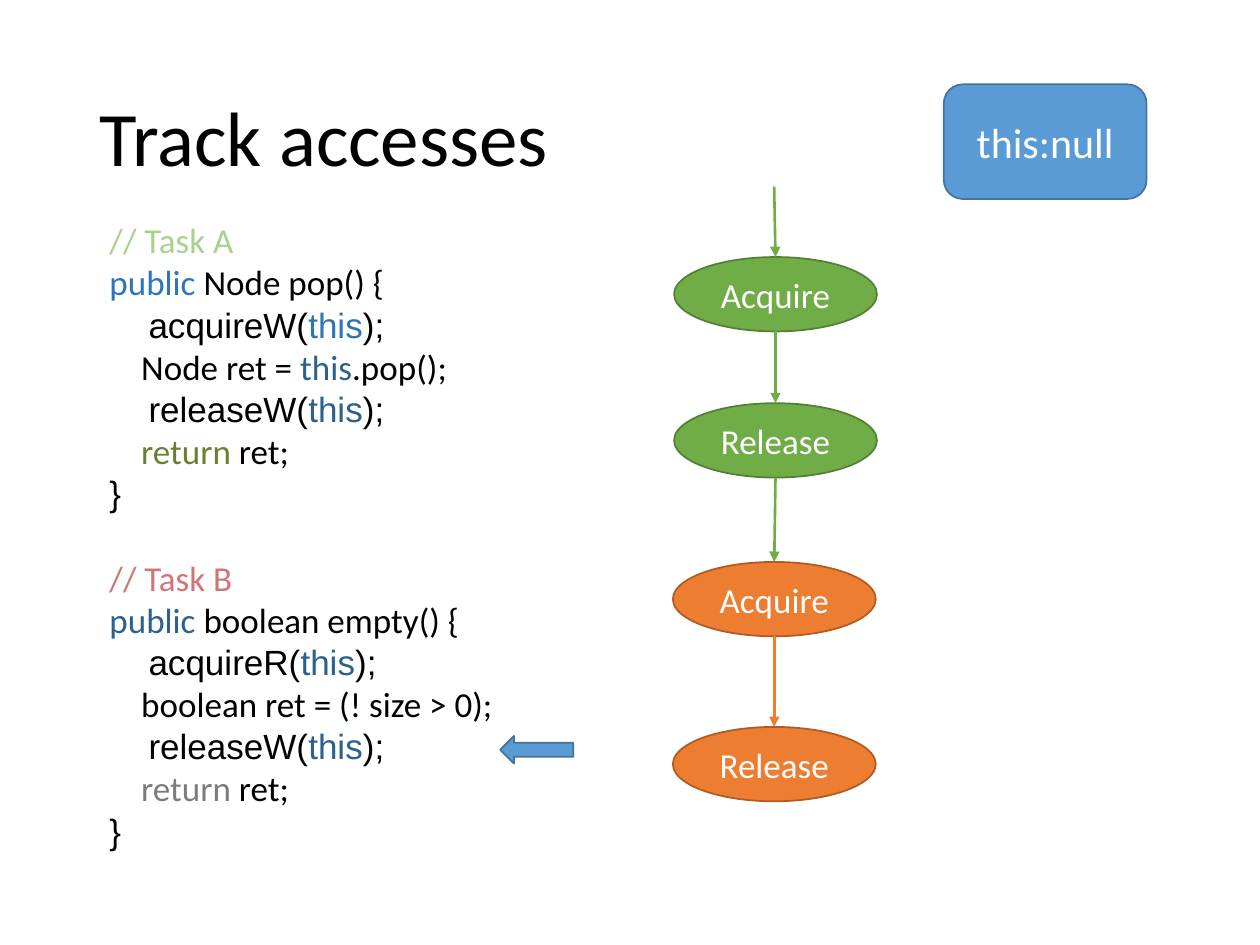
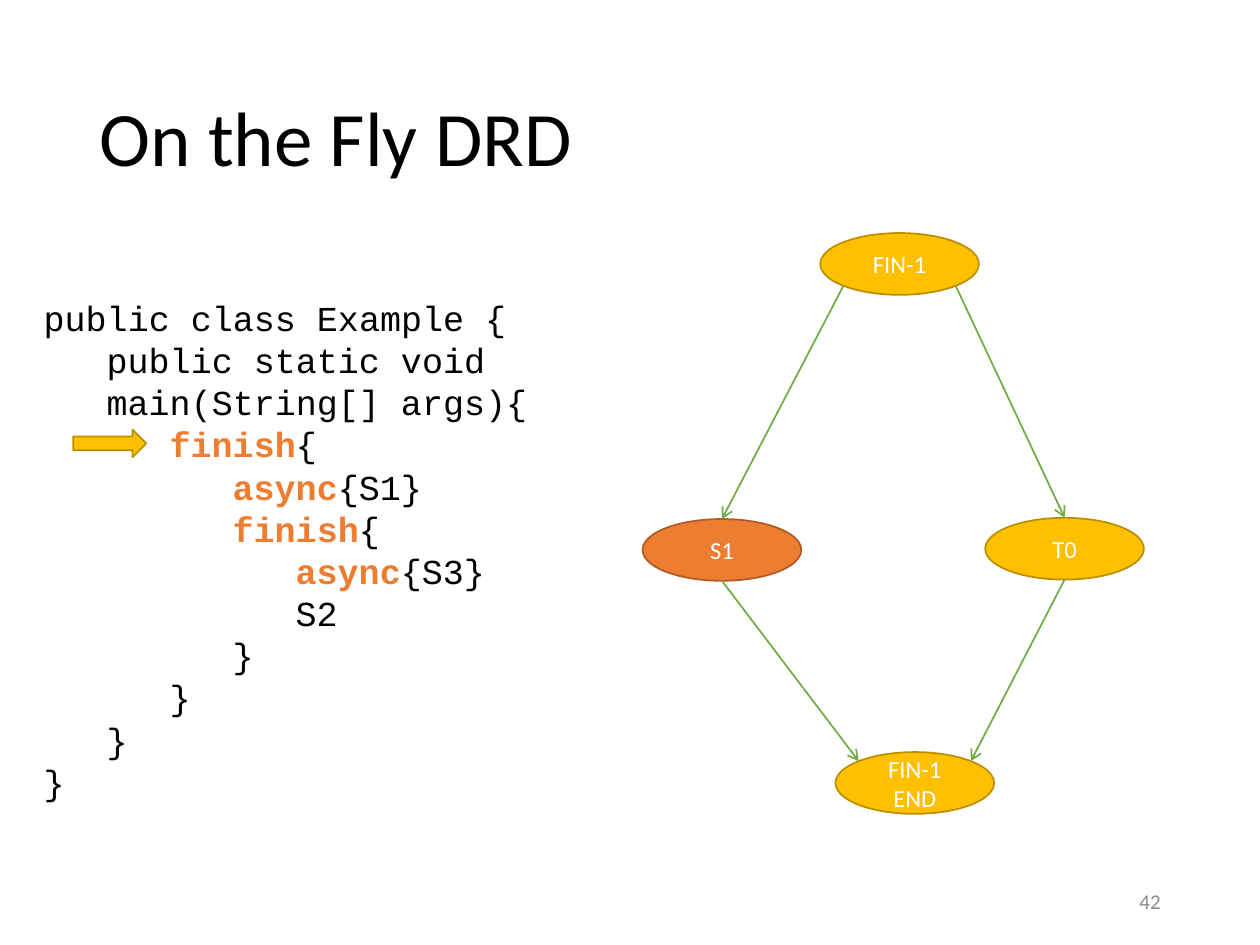
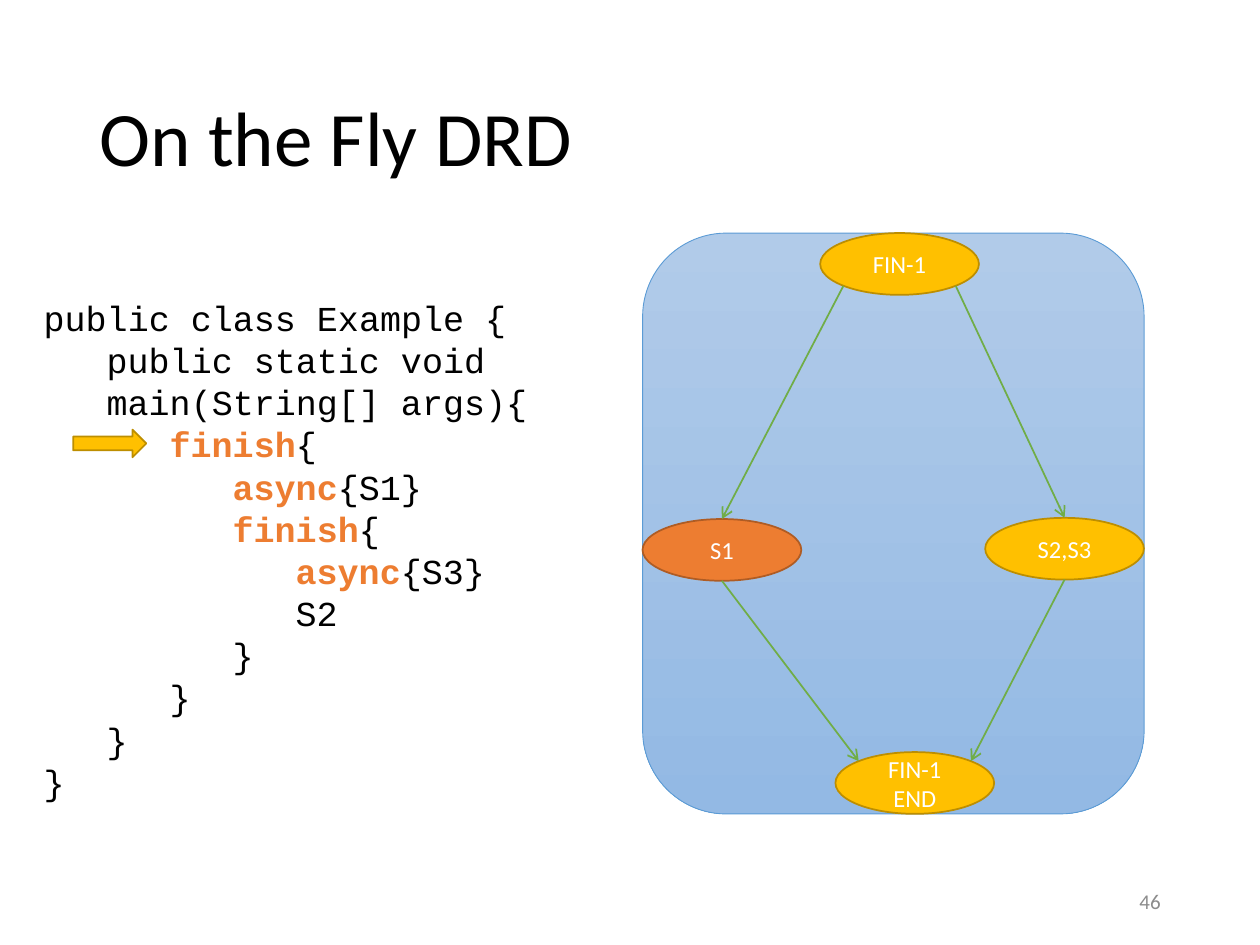
from math import cos, sin, radians
from pptx import Presentation
from pptx.util import Pt
from pptx.dml.color import RGBColor
from pptx.enum.shapes import MSO_SHAPE as Kind, MSO_CONNECTOR as Link
from pptx.enum.text import PP_ALIGN as Align, MSO_ANCHOR as Anchor
from pptx.oxml.ns import qn
from lxml.etree import SubElement as Sub

BLACK, WHITE, GRAY = "000000", "FFFFFF", "8C8C8C"
BLUE, GREEN, ORANGE, GOLD = "5B9BD5", "70AD47", "ED7D31", "FFC000"
EDGE = {BLUE: "43739E", GREEN: "538035", ORANGE: "AF5C24", GOLD: "BD8E00"}
SKY, NAVY, OLIVE, ASH = "2E75B6", "2C618B", "688031", "7C7C7C"
SANS, PLAIN, MONO = "Calibri", "Arial", "Courier New"
PITCH = 24.1


def hue(code):
    return RGBColor.from_string(code)


def put(item, values):
    for name, value in values.items():
        setattr(item, name, value)


def port(node, angle):
    x = node.left.pt + node.width.pt / 2 * (1 + cos(radians(angle)))
    y = node.top.pt + node.height.pt / 2 * (1 + sin(radians(angle)))
    return x, y


class Deck:
    def __init__(self):
        self.file = Presentation()
        put(self.file, {"slide_width": Pt(720), "slide_height": Pt(540)})
        self.slide = None

    def page(self, title, number=None):
        self.slide = self.file.slides.add_slide(self.file.slide_layouts[6])
        self.text((49.7, 28.8, 620.6, 104.4), title, 44, Align.LEFT, BLACK, 0.9)
        if number:
            self.text((508.3, 500.4, 162, 28.8), number, 12, Align.RIGHT, GRAY)

    def fill(self, frame, lines, align, space=None):
        put(frame, {"word_wrap": True, "vertical_anchor": Anchor.MIDDLE})
        for spot, (dent, gap, font, runs) in enumerate(lines):
            para = frame.add_paragraph() if spot else frame.paragraphs[0]
            put(para, {"alignment": align, "space_before": Pt(gap), "line_spacing": space})
            if dent:
                para._p.get_or_add_pPr().set("marL", str(Pt(dent)))
            for words, color, bold, size in runs:
                run = para.add_run()
                run.text = words
                put(run.font, {"name": font, "size": Pt(size), "bold": bold})
                run.font.color.rgb = hue(color)

    def text(self, box, words, size, align, color, space=None):
        area = self.slide.shapes.add_textbox(*map(Pt, box))
        self.fill(area.text_frame, [(0, 0, SANS, [(words, color, False, size)])], align, space)

    def code(self, area, lines):
        rows = []
        for dent, gap, font, *runs in lines:
            rows.append((dent, gap, font, [(w, c, c == ORANGE, 20) for w, c in runs]))
        self.fill(area.text_frame, rows, Align.LEFT, Pt(PITCH))

    def shape(self, kind, box, color=None, label="", size=14, turn=0):
        item = self.slide.shapes.add_shape(kind, *map(Pt, box))
        put(item, {"rotation": turn})
        item.shadow.inherit = False
        if color:
            item.fill.solid()
            item.fill.fore_color.rgb = hue(color)
            item.line.color.rgb = hue(EDGE[color])
            item.line.width = Pt(1)
        else:
            item.fill.background()
            item.line.fill.background()
        if label:
            rows = [(0, 0, SANS, [(w, WHITE, False, size)]) for w in label.split("\n")]
            self.fill(item.text_frame, rows, Align.CENTER)
        return item

    def panel(self, box):
        item = self.shape(Kind.ROUNDED_RECTANGLE, box, BLUE)
        item.fill.gradient()
        item.fill.gradient_angle = 270
        for stop, code in zip(item.fill.gradient_stops, ("B1CBE9", "93B9E4")):
            stop.color.rgb = hue(code)
        item.line.color.rgb = hue(BLUE)
        item.line.width = Pt(0.5)

    def arrow(self, start, end, color=GREEN, width=1, head="arrow"):
        ends = map(Pt, start + end)
        item = self.slide.shapes.add_connector(Link.STRAIGHT, *ends)
        item.line.color.rgb = hue(color)
        item.line.width = Pt(width)
        Sub(item.line._get_or_add_ln(), qn("a:tailEnd"), type=head)
        Sub(item._element.spPr, qn("a:effectLst"))


def task(name, tint, key, head, lock, body, last, gap=0):
    def call(verb, blue):
        return 22.3, 0, PLAIN, (verb + "(", BLACK), ("this", blue), (");", BLACK)
    return [
        (0, gap, SANS, ("// Task " + name, tint)),
        (0, 0, SANS, ("public", key), (head, BLACK)),
        call(lock, key),
        (18.1, 0, SANS, *body),
        call("releaseW", NAVY),
        (18.1, 0, SANS, ("return", last), (" ret;", BLACK)),
        (0, 0, PLAIN, ("}", BLACK)),
    ]


def track(deck):
    deck.page("Track accesses")
    area = deck.slide.shapes.add_textbox(*map(Pt, (59, 120.2, 259.2, 370.8)))
    sides = ("left", "right", "top", "bottom")
    put(area.text_frame, {"margin_" + side: Pt(3.6) for side in sides})
    pop = [("Node ret = ", BLACK), ("this", NAVY), (".pop();", BLACK)]
    size = [("boolean ret = (! size > 0);", BLACK)]
    deck.code(area, task("A", "A9D18E", SKY, " Node pop() {", "acquireW", pop, OLIVE)
              + task("B", "D07576", NAVY, " boolean empty() {", "acquireR", size, ASH, PITCH))
    deck.shape(Kind.ROUNDED_RECTANGLE, (539.3, 48.2, 115.9, 65.5), BLUE, "this:null", 24)
    deck.shape(Kind.RIGHT_ARROW, (285.8, 420.5, 41.8, 15.8), BLUE, turn=180)
    steps = [(385.2, 146.9, GREEN, "Acquire"), (385.2, 230.4, GREEN, "Release"),
             (384.5, 321.1, ORANGE, "Acquire"), (384.5, 415.4, ORANGE, "Release")]
    start, tint = (442.4, 106.6), GREEN
    for x, y, color, label in steps:
        node = deck.shape(Kind.OVAL, (x, y, 115.9, 42.5), color, label, 20)
        deck.arrow(start, port(node, 270), tint, 1.5, "triangle")
        start, tint = port(node, 90), color


def race(deck, number, label, boxed=False):
    deck.page("On the Fly DRD", number)
    if boxed:
        deck.panel((367.2, 133.2, 286.6, 331.9))
    spots = [(468.7, 133.2, GOLD, "FIN-1"), (367.2, 296.6, ORANGE, "S1"),
             (563, 295.9, GOLD, label), (477.4, 429.8, GOLD, "FIN-1\nEND")]
    top, left, right, end = [deck.shape(Kind.OVAL, (x, y, 90.7, 35.3), color, words)
                             for x, y, color, words in spots]
    for node, out, into in ((left, 135, 225), (right, 45, 315)):
        deck.arrow(port(top, out), port(node, 270))
        deck.arrow(port(node, 90), port(end, into))
    rows = [(0, "", "public class Example {"), (1, "", "public static void"),
            (1, "", "main(String[] args){"), (2, "finish", "{"), (3, "async", "{S1}"),
            (3, "finish", "{"), (4, "async", "{S3}"), (4, "", "S2")]
    rows += [(level, "", "}") for level in (3, 2, 1, 0)]
    lines = []
    for level, key, rest in rows:
        runs = [(key, ORANGE)] if key else []
        lines.append((36 * level, 0, MONO, *runs, (rest, BLACK)))
    area = deck.shape(Kind.ROUNDED_RECTANGLE, (1.4, 144.7, 366.5, 338.4))
    deck.code(area, lines)
    deck.shape(Kind.RIGHT_ARROW, (41.8, 245.5, 41.8, 15.8), GOLD)


deck = Deck()
track(deck)
race(deck, "42", "T0")
race(deck, "46", "S2,S3", True)
deck.file.save("out.pptx")
